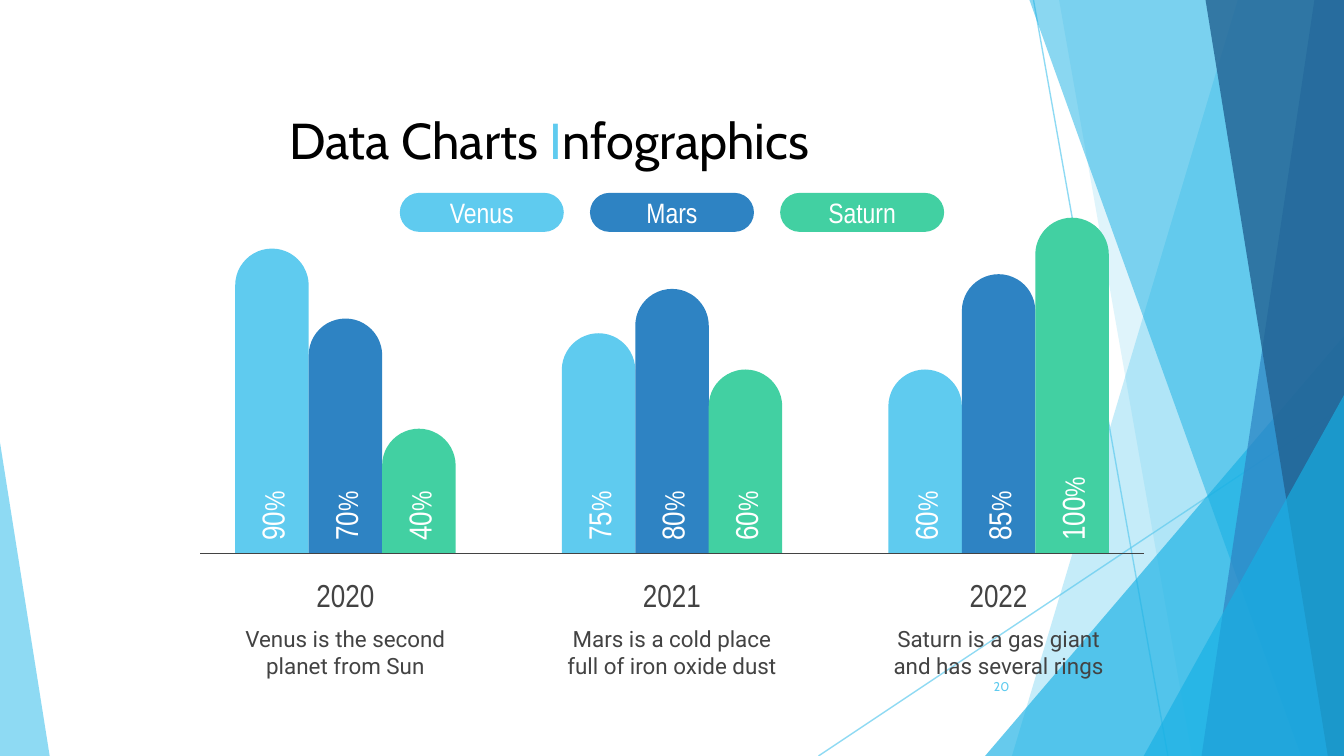
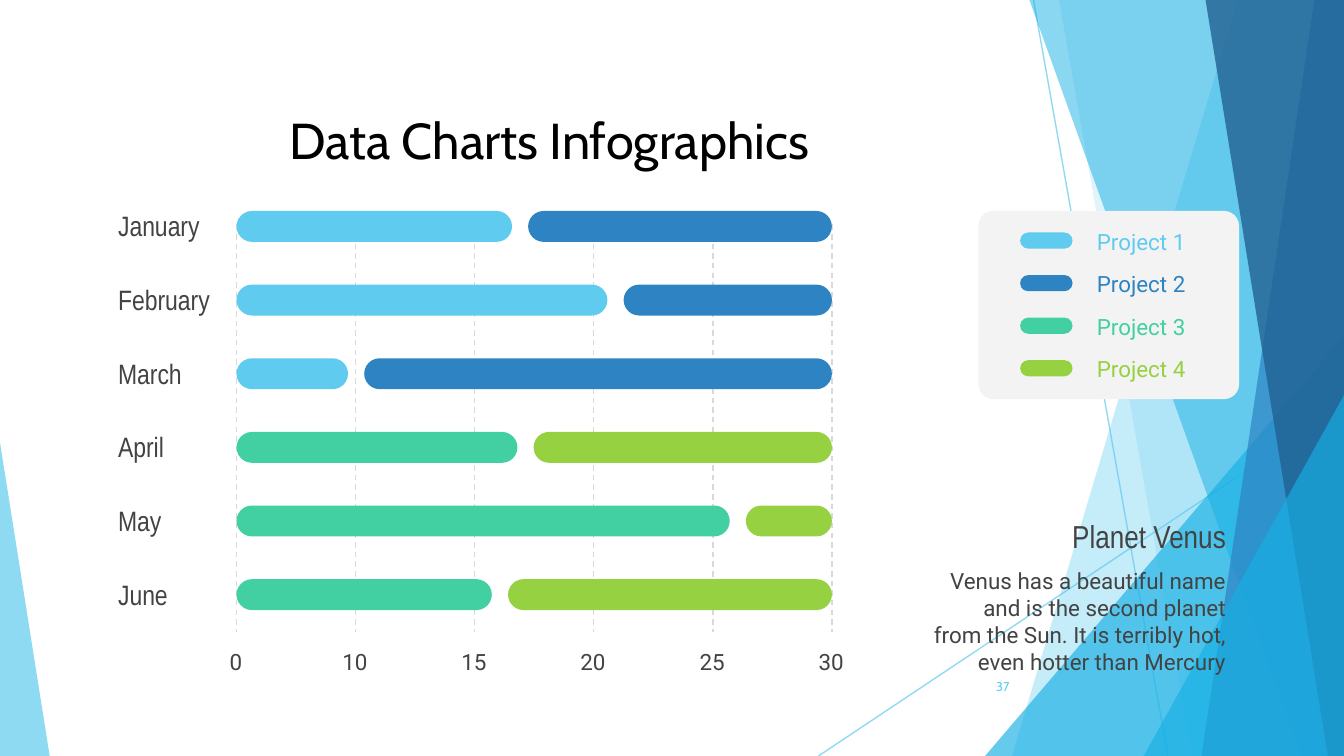
from dataclasses import dataclass

from lxml import etree
from pptx import Presentation
from pptx.dml.color import RGBColor
from pptx.enum.dml import MSO_LINE
from pptx.enum.shapes import MSO_CONNECTOR, MSO_SHAPE
from pptx.enum.text import MSO_ANCHOR, PP_ALIGN
from pptx.oxml.ns import qn
from pptx.util import Inches, Pt

LEFT, CENTER, RIGHT = PP_ALIGN.LEFT, PP_ALIGN.CENTER, PP_ALIGN.RIGHT
MIDDLE = MSO_ANCHOR.MIDDLE
PILL, ARCH, TRIANGLE = (MSO_SHAPE.ROUNDED_RECTANGLE,
                        MSO_SHAPE.ROUND_2_SAME_RECTANGLE,
                        MSO_SHAPE.ISOSCELES_TRIANGLE)
STRAIGHT, DASH = MSO_CONNECTOR.STRAIGHT, MSO_LINE.DASH
WIDTH = 10
HEIGHT = WIDTH * 9 / 16


@dataclass(frozen=True)
class Theme:
    sky: str = "5FCBEF"
    blue: str = "2E83C3"
    navy: str = "226292"
    cyan: str = "17B0E4"
    green: str = "42D0A2"
    lime: str = "96D141"
    ink: str = "434343"
    black: str = "000000"
    white: str = "FFFFFF"
    grid: str = "D9D9D9"
    panel: str = "F3F3F3"
    title_font: str = "Cabin"
    label_font: str = "Arial Narrow"
    body_font: str = "Roboto"
    title_size: float = 27
    heading_size: float = 17
    label_size: float = 15
    body_size: float = 12
    number_size: float = 6.8
    line: float = 0.75


T = Theme()

# Backdrop facets: outline points, colour, opacity
FACETS_BACK = [
    ([(9.21, 0), (10, 0), (10, HEIGHT), (7.53, HEIGHT)], T.sky, 36),
    ([(7.88, 0), (10, 0), (10, HEIGHT), (8.87, HEIGHT)], T.sky, 20),
]
FACETS_FRONT = [
    ([(7.66, 0), (10, 0), (10, HEIGHT), (9.68, HEIGHT)], T.cyan, 50),
    ([(9.78, 0), (10, 0), (10, HEIGHT), (8.94, HEIGHT)], T.blue, 70),
    ([(8.97, 0), (10, 0), (10, HEIGHT), (9.88, HEIGHT)], T.navy, 80),
]

PLANETS = [("Venus", T.sky), ("Mars", T.blue), ("Saturn", T.green)]
# Year, caption, (percentage, bar height) for each planet
YEARS = [
    ("2020", "Venus is the second planet from Sun",
     [(90, 2.27), (70, 1.75), (40, 0.93)]),
    ("2021", "Mars is a cold place full of iron oxide dust",
     [(75, 1.64), (80, 1.97), (60, 1.37)]),
    ("2022", "Saturn is a gas giant and has several rings",
     [(60, 1.37), (85, 2.08), (100, 2.5)]),
]

# Month, length of its first bar, colours of both bars
EARLY, LATE = (T.sky, T.blue), (T.green, T.lime)
MONTHS = [("January", 2.05, EARLY), ("February", 2.76, EARLY),
          ("March", 0.83, EARLY), ("April", 2.09, LATE),
          ("May", 3.67, LATE), ("June", 1.9, LATE)]
TICKS = ["0", "10", "15", "20", "25", "30"]
PROJECTS = [("Project 1", T.sky), ("Project 2", T.blue),
            ("Project 3", T.green), ("Project 4", T.lime)]


# ---- Drawing helpers ----

def rgb(color):
    return RGBColor.from_string(color)


def set_alpha(s, percent):
    for clr in s._element.spPr.iter(qn("a:srgbClr")):
        etree.SubElement(clr, qn("a:alpha")).set("val", str(percent * 1000))


def paint(s, fill, alpha=100):
    s.shadow.inherit = False
    s.fill.solid()
    s.fill.fore_color.rgb = rgb(fill)
    s.line.fill.background()
    if alpha < 100:
        set_alpha(s, alpha)


def add_shape(slide, kind, box, fill, adjust=(0.5,), alpha=100):
    s = slide.shapes.add_shape(kind, *map(Inches, box))
    for i, value in enumerate(adjust):
        s.adjustments[i] = value
    paint(s, fill, alpha)
    return s


def add_facet(slide, points, fill, alpha):
    start, *rest = [(Inches(x), Inches(y)) for x, y in points]
    builder = slide.shapes.build_freeform(*start)
    builder.add_line_segments(rest, close=True)
    paint(builder.convert_to_shape(), fill, alpha)


def add_line(slide, start, end, color, alpha=100, dash=None):
    s = slide.shapes.add_connector(STRAIGHT, *map(Inches, start + end))
    s.line.color.rgb = rgb(color)
    s.line.width = Pt(T.line)
    if dash:
        s.line.dash_style = dash
    if alpha < 100:
        set_alpha(s, alpha)
    etree.SubElement(s._element.spPr, qn("a:effectLst"))


def set_text(s, runs, font, align):
    """Fill a shape with one paragraph of (text, size, colour) runs."""
    tf = s.text_frame
    tf.word_wrap = True
    tf.vertical_anchor = MIDDLE
    tf.margin_left = tf.margin_right = Inches(0.1)
    tf.margin_top = tf.margin_bottom = Inches(0.1)
    p = tf.paragraphs[0]
    p.alignment = align
    for text, size, color in runs:
        r = p.add_run()
        r.text = text
        r.font.name = font
        r.font.size = Pt(size)
        r.font.color.rgb = rgb(color)


def add_text(slide, box, runs, font, align):
    s = slide.shapes.add_textbox(*map(Inches, box))
    set_text(s, runs, font, align)
    return s


def add_heading(slide, box, text, align):
    add_text(slide, box, [(text, T.heading_size, T.ink)], T.label_font, align)


def add_body(slide, box, text, align, color=T.ink):
    add_text(slide, box, [(text, T.body_size, color)], T.body_font, align)


# ---- Shared frame ----

def add_backdrop(slide):
    add_line(slide, (7.69, 0), (8.69, HEIGHT), T.sky, 70)
    add_line(slide, (10, 3.02), (6.09, HEIGHT), T.sky, 70)
    for facet in FACETS_BACK:
        add_facet(slide, *facet)
    add_shape(slide, TRIANGLE, (7.33, 2.5, 2.67, HEIGHT - 2.5), T.cyan, (1,), 66)
    for facet in FACETS_FRONT:
        add_facet(slide, *facet)
    add_shape(slide, TRIANGLE, (8.51, 2.94, 1.49, HEIGHT - 2.94), T.cyan, (1,), 66)
    add_shape(slide, TRIANGLE, (0, 3.29, 0.37, HEIGHT - 3.29), T.sky, (0,), 70)


def new_slide(prs, title, number):
    slide = prs.slides.add_slide(prs.slide_layouts[6])
    add_backdrop(slide)
    add_text(slide, (0.56, 0.5, 7.05, 1.08),
             [(text, T.title_size, color) for text, color in title],
             T.title_font, CENTER)
    add_text(slide, (7.05, 4.96, 0.56, 0.3),
             [(number, T.number_size, T.sky)], T.title_font, RIGHT)
    return slide


# ---- Planet columns ----

def add_planet_legend(slide, box):
    x, y, w, h = box
    pill_w = 1.21
    step = (w - pill_w) / (len(PLANETS) - 1)
    for i, (name, color) in enumerate(PLANETS):
        s = add_shape(slide, PILL, (x + i * step, y, pill_w, h), color)
        s.line.color.rgb = rgb(color)
        s.line.width = Pt(T.line)
        set_text(s, [(name, T.label_size, T.white)], T.label_font, CENTER)


def add_year(slide, box, year, caption, bars):
    x, y, w, h = box
    base = y + h
    bar_w = w / len(bars)
    for i, ((value, bar_h), (_, color)) in enumerate(zip(bars, PLANETS)):
        left = x + i * bar_w
        add_shape(slide, ARCH, (left, base - bar_h, bar_w, bar_h), color,
                  (0.5, 0))
        # Percentage reads upwards from the foot of the bar
        label_w, label_h = 1.15, 0.27
        s = add_text(slide, (left + (bar_w - label_w) / 2,
                             base - (label_w + label_h) / 2, label_w, label_h),
                     [(str(value), T.heading_size, T.white),
                      ("%", T.label_size, T.white)], T.label_font, LEFT)
        s.rotation = 270
    add_heading(slide, (x, base + 0.15, w, 0.31), year, CENTER)
    add_body(slide, (x - 0.07, base + 0.52, w + 0.14, 0.42), caption, CENTER)


def add_planet_chart(slide, box):
    x, y, w, h = box
    for i, year in enumerate(YEARS):
        add_year(slide, (x + 0.26 + i * 2.43, y, 1.64, h), *year)
    add_line(slide, (x, y + h), (x + w, y + h), T.ink)


# ---- Project timeline ----

def add_timeline(slide, box):
    x, y, w, h = box
    # Grid and axis
    step = w / (len(TICKS) - 1)
    for i, tick in enumerate(TICKS):
        tick_x = x + i * step
        add_line(slide, (tick_x, y + 0.1), (tick_x, y + h), T.grid, dash=DASH)
        add_body(slide, (tick_x - 0.39, y + h + 0.09, 0.77, 0.26), tick, CENTER)
    # Two bars a month, the second one reaching the right edge
    bar_h, gap = 0.23, 0.12
    pitch = (h - 0.39) / (len(MONTHS) - 1)
    for i, (month, first, colors) in enumerate(MONTHS):
        top = y + i * pitch
        second = w - first - gap
        add_shape(slide, PILL, (x, top, first, bar_h), colors[0])
        add_shape(slide, PILL, (x + first + gap, top, second, bar_h), colors[1])
        add_text(slide, (x - 0.98, top, 0.98, 0.22),
                 [(month, T.label_size, T.ink)], T.label_font, LEFT)


def add_project_legend(slide, box):
    x, y, w, h = box
    add_shape(slide, PILL, box, T.panel, (0.08,))
    pitch = (h - 0.45) / (len(PROJECTS) - 1)
    for i, (name, color) in enumerate(PROJECTS):
        top = y + 0.11 + i * pitch
        add_body(slide, (x + 0.58, top, 1.06, 0.23), name, RIGHT, color)
        add_shape(slide, PILL, (x + 0.31, top + 0.05, 0.39, 0.12), color)


def add_note(slide, box, heading, body):
    x, y, w, h = box
    heading_h = 0.28
    add_heading(slide, (x, y, w, heading_h), heading, RIGHT)
    add_body(slide, (x, y + heading_h, w, h - heading_h), body, RIGHT)


# ---- Slides ----

def build_planet_slide(prs):
    slide = new_slide(prs, [("Data Charts ", T.black), ("I", T.sky),
                            ("nfographics", T.black)], "20")
    add_planet_legend(slide, (2.98, 1.44, 4.04, 0.28))
    add_planet_chart(slide, (1.49, 1.62, 7.02, 2.5))


def build_project_slide(prs):
    slide = new_slide(prs, [("Data Charts Infographics", T.black)], "37")
    add_timeline(slide, (1.76, 1.57, 4.43, 3.13))
    add_project_legend(slide, (7.28, 1.57, 1.94, 1.4))
    add_note(slide, (6.83, 3.85, 2.39, 1.26), "Planet Venus",
             "Venus has a beautiful name and is the second planet from the "
             "Sun. It is terribly hot, even hotter than Mercury")


def main():
    prs = Presentation()
    prs.slide_width, prs.slide_height = Inches(WIDTH), Inches(HEIGHT)
    build_planet_slide(prs)
    build_project_slide(prs)
    prs.save("out.pptx")


if __name__ == "__main__":
    main()
